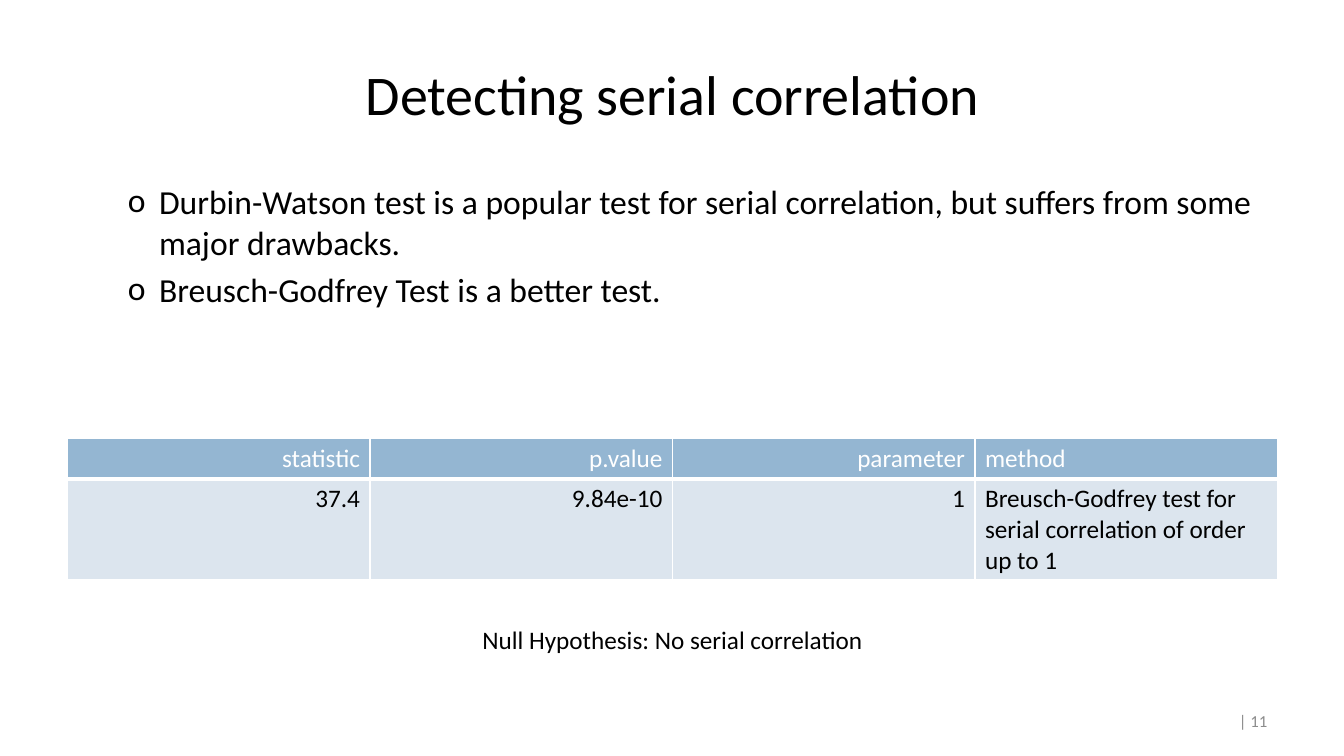
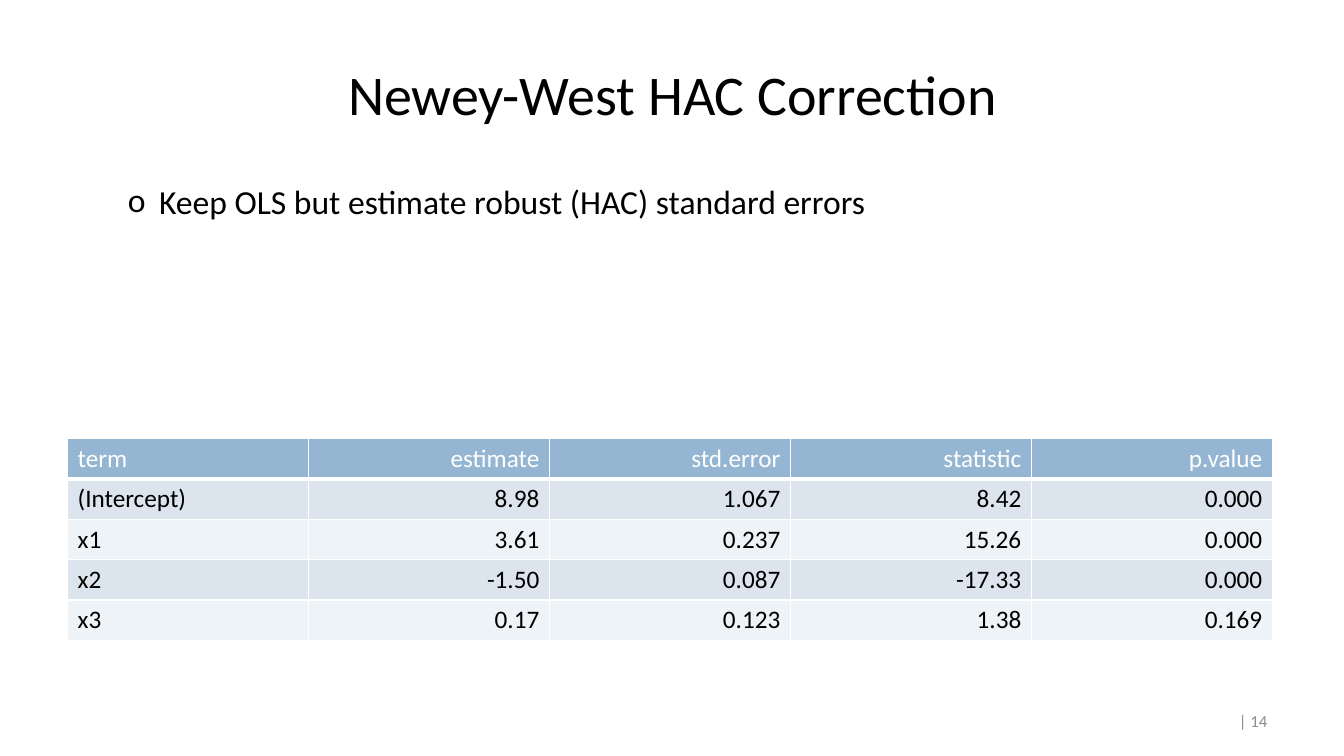
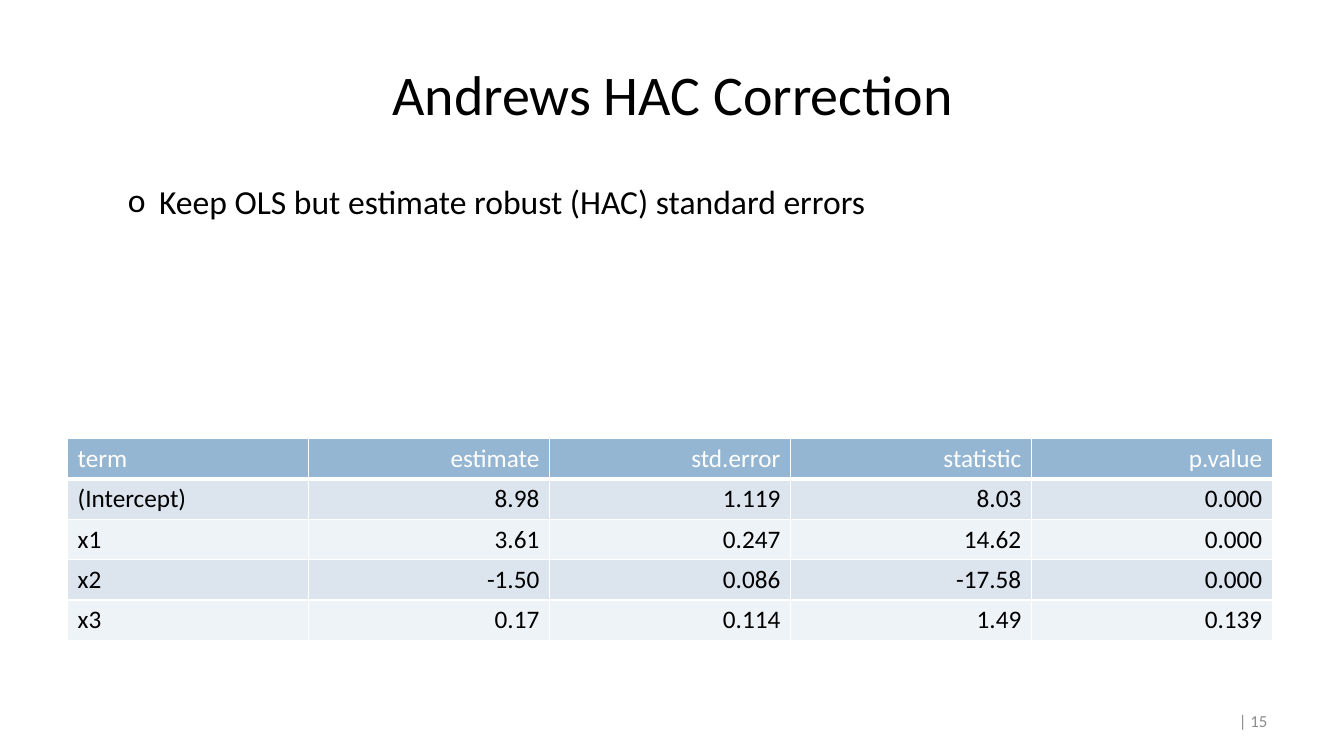
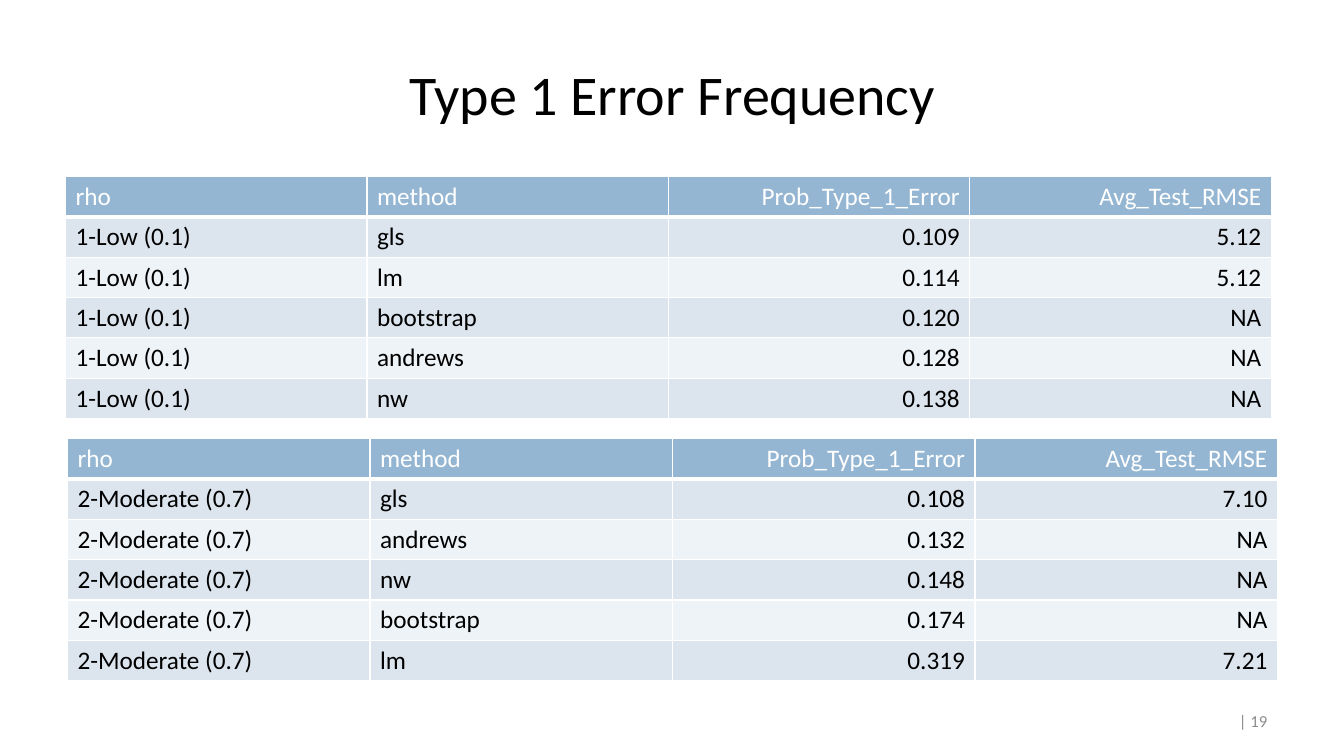
from lxml import etree
from pptx import Presentation
from pptx.dml.color import RGBColor
from pptx.enum.text import MSO_ANCHOR, PP_ALIGN
from pptx.oxml.ns import qn
from pptx.util import Pt

PX = 9144  # EMU per px, 100 px to the inch
FONT = "Calibri"
BLACK = RGBColor(0x00, 0x00, 0x00)
WHITE = RGBColor(0xFF, 0xFF, 0xFF)
GREY = RGBColor(0x8C, 0x8C, 0x8C)
HEADER_BLUE = RGBColor(0x94, 0xB6, 0xD2)
BANDS = (RGBColor(0xDC, 0xE5, 0xEE), RGBColor(0xEE, 0xF3, 0xF7))
LEFT, CENTER, RIGHT = PP_ALIGN.LEFT, PP_ALIGN.CENTER, PP_ALIGN.RIGHT
TOP, MIDDLE = MSO_ANCHOR.TOP, MSO_ANCHOR.MIDDLE

SLIDE_SIZE = (1333, 750)
TITLE_BOX = (67, 30, 1200, 125)
BODY_BOX = (67, 175, 1200, 260)
CAPTION_BOX = (67, 614, 1200, 56)
NUMBER_BOX = (1183, 695, 84, 40)
LOWER_TABLE = (67, 435)
UPPER_TABLE = (65, 175)
ROW_HEIGHT = 40
BULLET_INDENT, BULLET_HANG = 81, 31

HAC_BULLETS = ["Keep OLS but estimate robust (HAC) standard errors"]
HAC_HEADER = ("term", "estimate", "std.error", "statistic", "p.value")
ERROR_HEADER = ("rho", "method", "Prob_Type_1_Error", "Avg_Test_RMSE")

# Each table has a corner, a column width, one l or r per column, and rows.
SLIDES = [
    {
        "title": "Detecting serial correlation",
        "number": 11,
        "bullets": [
            "Durbin-Watson test is a popular test for serial correlation, "
            "but suffers from some major drawbacks.",
            "Breusch-Godfrey Test is a better test.",
        ],
        "tables": [(LOWER_TABLE, 300, "rrrl", [
            ("statistic", "p.value", "parameter", "method"),
            ("37.4", "9.84e-10", "1",
             "Breusch-Godfrey test for serial correlation of order up to 1"),
        ])],
        "caption": "Null Hypothesis: No serial correlation",
    },
    {
        "title": "Newey-West HAC Correction",
        "number": 14,
        "bullets": HAC_BULLETS,
        "tables": [(LOWER_TABLE, 239, "lrrrr", [
            HAC_HEADER,
            ("(Intercept)", "8.98", "1.067", "8.42", "0.000"),
            ("x1", "3.61", "0.237", "15.26", "0.000"),
            ("x2", "-1.50", "0.087", "-17.33", "0.000"),
            ("x3", "0.17", "0.123", "1.38", "0.169"),
        ])],
    },
    {
        "title": "Andrews HAC Correction",
        "number": 15,
        "bullets": HAC_BULLETS,
        "tables": [(LOWER_TABLE, 239, "lrrrr", [
            HAC_HEADER,
            ("(Intercept)", "8.98", "1.119", "8.03", "0.000"),
            ("x1", "3.61", "0.247", "14.62", "0.000"),
            ("x2", "-1.50", "0.086", "-17.58", "0.000"),
            ("x3", "0.17", "0.114", "1.49", "0.139"),
        ])],
    },
    {
        "title": "Type 1 Error Frequency",
        "number": 19,
        "tables": [
            (UPPER_TABLE, 299, "llrr", [
                ERROR_HEADER,
                ("1-Low (0.1)", "gls", "0.109", "5.12"),
                ("1-Low (0.1)", "lm", "0.114", "5.12"),
                ("1-Low (0.1)", "bootstrap", "0.120", "NA"),
                ("1-Low (0.1)", "andrews", "0.128", "NA"),
                ("1-Low (0.1)", "nw", "0.138", "NA"),
            ]),
            (LOWER_TABLE, 300, "llrr", [
                ERROR_HEADER,
                ("2-Moderate (0.7)", "gls", "0.108", "7.10"),
                ("2-Moderate (0.7)", "andrews", "0.132", "NA"),
                ("2-Moderate (0.7)", "nw", "0.148", "NA"),
                ("2-Moderate (0.7)", "bootstrap", "0.174", "NA"),
                ("2-Moderate (0.7)", "lm", "0.319", "7.21"),
            ]),
        ],
    },
]


def write(para, text, size, color, align=LEFT):
    para.alignment = align
    span = para.add_run()
    span.text = text
    span.font.name = FONT
    span.font.size = Pt(size)
    span.font.color.rgb = color


def add_frame(page, place, anchor=TOP):
    """Add an empty wrapping text box and return its text frame."""
    frame = page.shapes.add_textbox(*(PX * length for length in place)).text_frame
    frame.word_wrap = True
    frame.vertical_anchor = anchor
    return frame


def add_text(page, place, text, size, color, align, anchor=TOP):
    write(add_frame(page, place, anchor).paragraphs[0], text, size, color, align)


def add_bullets(page, texts):
    frame = add_frame(page, BODY_BOX)
    for index, text in enumerate(texts):
        para = frame.add_paragraph() if index else frame.paragraphs[0]
        write(para, text, 24, BLACK)
        para.space_before = Pt(5)
        properties = para._p.get_or_add_pPr()
        properties.set("marL", str(BULLET_INDENT * PX))
        properties.set("indent", str(-BULLET_HANG * PX))
        etree.SubElement(properties, qn("a:buFont"), typeface=FONT)
        etree.SubElement(properties, qn("a:buChar"), char="o")


def set_borders(cell, bottom_width):
    properties = cell._tc.get_or_add_tcPr()
    for side, width in (("L", 1), ("R", 1), ("T", 1), ("B", bottom_width)):
        line = etree.SubElement(properties, qn(f"a:ln{side}"), w=str(Pt(width)))
        fill = etree.SubElement(line, qn("a:solidFill"))
        etree.SubElement(fill, qn("a:srgbClr"), val=str(WHITE))


def add_table(page, corner, column_width, aligns, rows):
    left, top = corner
    table = page.shapes.add_table(
        len(rows), len(aligns), left * PX, top * PX,
        column_width * len(aligns) * PX, ROW_HEIGHT * len(rows) * PX).table
    table.first_row = table.horz_banding = False
    for row_index, row in enumerate(rows):
        is_header = row_index == 0
        for column_index, text in enumerate(row):
            cell = table.cell(row_index, column_index)
            set_borders(cell, 3 if is_header else 1)
            cell.fill.solid()
            cell.fill.fore_color.rgb = (
                HEADER_BLUE if is_header else BANDS[(row_index - 1) % 2])
            write(cell.text_frame.paragraphs[0], text, 18,
                  WHITE if is_header else BLACK,
                  RIGHT if aligns[column_index] == "r" else LEFT)


def add_slide(deck, content):
    page = deck.slides.add_slide(deck.slide_layouts[6])
    add_text(page, NUMBER_BOX, f"| {content['number']}", 12, GREY, RIGHT, MIDDLE)
    add_text(page, TITLE_BOX, content["title"], 40, BLACK, CENTER, MIDDLE)
    if "bullets" in content:
        add_bullets(page, content["bullets"])
    for table in content["tables"]:
        add_table(page, *table)
    if "caption" in content:
        add_text(page, CAPTION_BOX, content["caption"], 18, BLACK, CENTER)


def main():
    deck = Presentation()
    deck.slide_width, deck.slide_height = (PX * length for length in SLIDE_SIZE)
    for content in SLIDES:
        add_slide(deck, content)
    deck.save("out.pptx")


if __name__ == "__main__":
    main()
